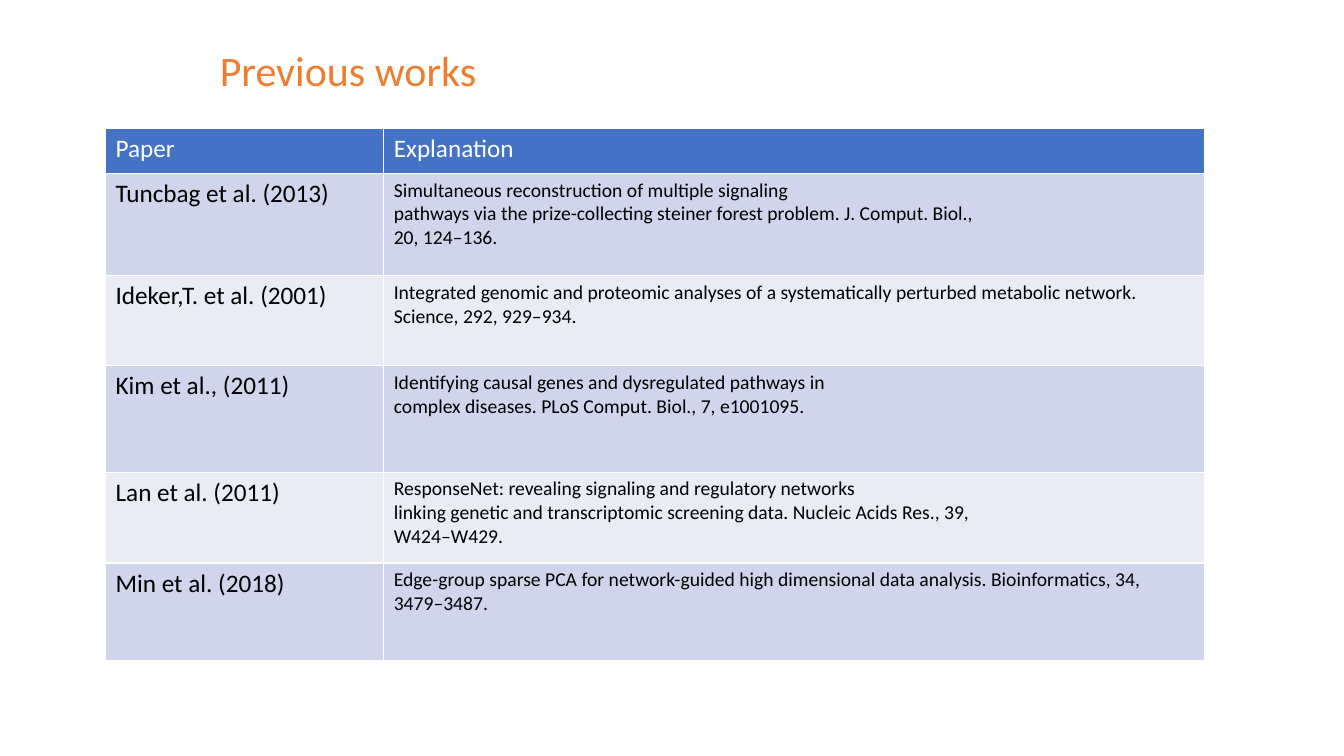
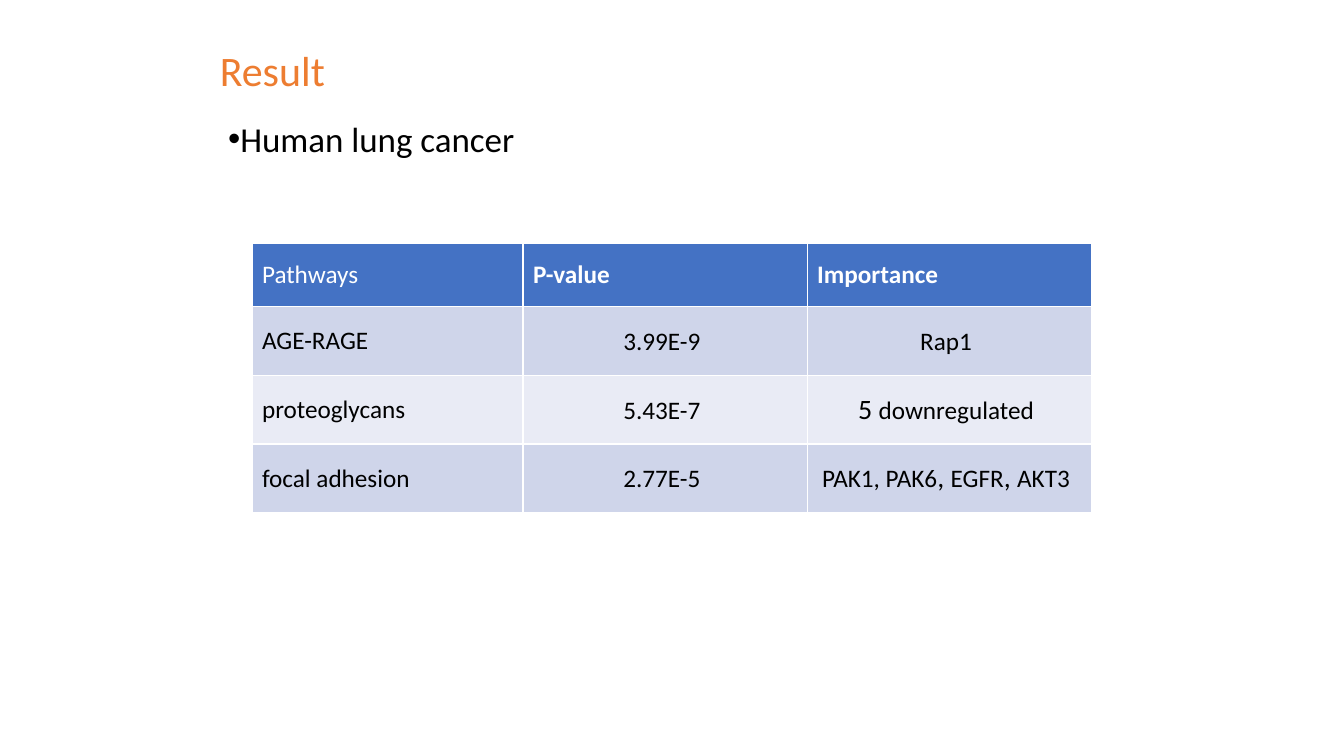
from pptx import Presentation
from pptx.dml.color import RGBColor
from pptx.enum.text import MSO_ANCHOR, PP_ALIGN
from pptx.util import Cm, Pt
from lxml.etree import SubElement
from pptx.oxml.ns import qn

FONT, BULLET_FONT = "Calibri", "Arial"
ORANGE, BLACK, WHITE = "ED7D31", "000000", "FFFFFF"
HEADER_FILL = "4472C4"
BAND_FILLS = ("CFD5EA", "E9EBF5")

# Within a cell, a tuple holds (text, size) runs.
WORKS = {
    "at": (2.66, 3.23),
    "columns": (7.01, 20.68),
    "rows": (1.14, 2.58, 2.27, 2.68, 2.29, 2.46),
    "sizes": (18, 14),
    "aligns": (PP_ALIGN.LEFT, PP_ALIGN.LEFT),
    "anchor": MSO_ANCHOR.TOP,
    "bold_headers": (),
    "cells": [
        ("Paper", "Explanation"),
        ("Tuncbag et al. (2013)",
         "Simultaneous reconstruction of multiple signaling\n"
         "pathways via the prize-collecting steiner forest problem. J. Comput. Biol.,\n"
         "20, 124–136."),
        ("Ideker,T. et al. (2001)",
         "Integrated genomic and proteomic analyses of a systematically perturbed "
         "metabolic network. Science, 292, 929–934."),
        ("Kim et al., (2011)",
         "Identifying causal genes and dysregulated pathways in\n"
         "complex diseases. PLoS Comput. Biol., 7, e1001095."),
        ("Lan et al. (2011)",
         "ResponseNet: revealing signaling and regulatory networks\n"
         "linking genetic and transcriptomic screening data. Nucleic Acids Res., 39,\n"
         "W424–W429."),
        ("Min et al. (2018)",
         "Edge-group sparse PCA for network-guided high dimensional data analysis. "
         "Bioinformatics, 34, 3479–3487."),
    ],
}
PATHWAYS = {
    "at": (6.35, 6.13),
    "columns": (6.83, 7.16, 7.16),
    "rows": (1.6, 1.73, 1.73, 1.73),
    "sizes": (18, 18, 18),
    "aligns": (PP_ALIGN.LEFT, PP_ALIGN.CENTER, PP_ALIGN.CENTER),
    "anchor": MSO_ANCHOR.MIDDLE,
    "bold_headers": ("P-value", "Importance"),
    "cells": [
        ("Pathways", "P-value", "Importance"),
        ("AGE-RAGE", (("3.99E-9", 18), (" ", 20)), (("Rap1", 18), (" ", 20))),
        ("proteoglycans", (("5.43E-7", 18), (" ", 20)),
         (("5 ", 20), ("downregulated", 18), (" ", 20))),
        ("focal adhesion", (("2.77E-5", 18), (" ", 20)),
         (("PAK1, PAK6", 18), (", ", 20), ("EGFR", 18), (", ", 20), ("AKT3", 18), (" ", 20))),
    ],
}
SLIDES = [
    {"title": "Previous works", "title_width": 8.08, "table": WORKS},
    {"title": "Result", "title_width": 6.78, "bullet": "Human lung cancer", "table": PATHWAYS},
]


def rgb(color):
    return RGBColor.from_string(color)


def style(paragraph, size, color, bold=False):
    font = paragraph.font
    font.name, font.size, font.bold = FONT, Pt(size), bold
    font.color.rgb = rgb(color)


def add_text(slide, text, box, size, color, anchor):
    text_box = slide.shapes.add_textbox(*map(Cm, box))
    frame = text_box.text_frame
    frame.word_wrap = True
    frame.vertical_anchor = anchor
    paragraph = frame.paragraphs[0]
    paragraph.text = text
    paragraph.line_spacing = 0.9
    style(paragraph, size, color)
    return text_box


def add_title(slide, title, width):
    title_box = add_text(
        slide, title, (5.29, 0.63, width, 1.9), 30, ORANGE, MSO_ANCHOR.BOTTOM)
    title_box.fill.solid()
    title_box.fill.fore_color.rgb = rgb(WHITE)


def add_bullet(slide, text):
    bullet_box = add_text(slide, text, (5.5, 2.95, 24.13, 0.84), 25, BLACK, MSO_ANCHOR.TOP)
    properties = bullet_box.text_frame.paragraphs[0]._p.get_or_add_pPr()
    properties.set("marL", "0")
    properties.set("indent", "0")
    # The schema wants bullets ahead of the default run properties.
    run_defaults = properties.find(qn("a:defRPr"))
    for tag, attribute, value in (("a:buFont", "typeface", BULLET_FONT),
                                  ("a:buChar", "char", "•")):
        element = SubElement(properties, qn(tag))
        element.set(attribute, value)
        run_defaults.addprevious(element)


def fill_paragraph(paragraph, content):
    if isinstance(content, str):
        paragraph.text = content
        return
    for text, size in content:
        run = paragraph.add_run()
        run.text = text
        run.font.size = Pt(size)


def add_table(slide, content):
    columns, rows = content["columns"], content["rows"]
    left, top = content["at"]
    table = slide.shapes.add_table(
        len(rows), len(columns), Cm(left), Cm(top), Cm(sum(columns)), Cm(sum(rows))).table
    for column, width in zip(table.columns, columns):
        column.width = Cm(width)
    for row, height in zip(table.rows, rows):
        row.height = Cm(height)

    for r, entries in enumerate(content["cells"]):
        header = r == 0
        for c, entry in enumerate(entries):
            cell = table.cell(r, c)
            cell.vertical_anchor = content["anchor"]
            cell.fill.solid()
            cell.fill.fore_color.rgb = rgb(HEADER_FILL if header else BAND_FILLS[(r - 1) % 2])
            paragraph = cell.text_frame.paragraphs[0]
            fill_paragraph(paragraph, entry)
            if header:
                style(paragraph, 18, WHITE, entry in content["bold_headers"])
            else:
                style(paragraph, content["sizes"][c], BLACK)
                paragraph.alignment = content["aligns"][c]


def main():
    presentation = Presentation()
    presentation.slide_width, presentation.slide_height = Cm(33.87), Cm(19.05)
    for content in SLIDES:
        slide = presentation.slides.add_slide(presentation.slide_layouts[6])
        add_title(slide, content["title"], content["title_width"])
        if "bullet" in content:
            add_bullet(slide, content["bullet"])
        add_table(slide, content["table"])
    presentation.save("out.pptx")


if __name__ == "__main__":
    main()
